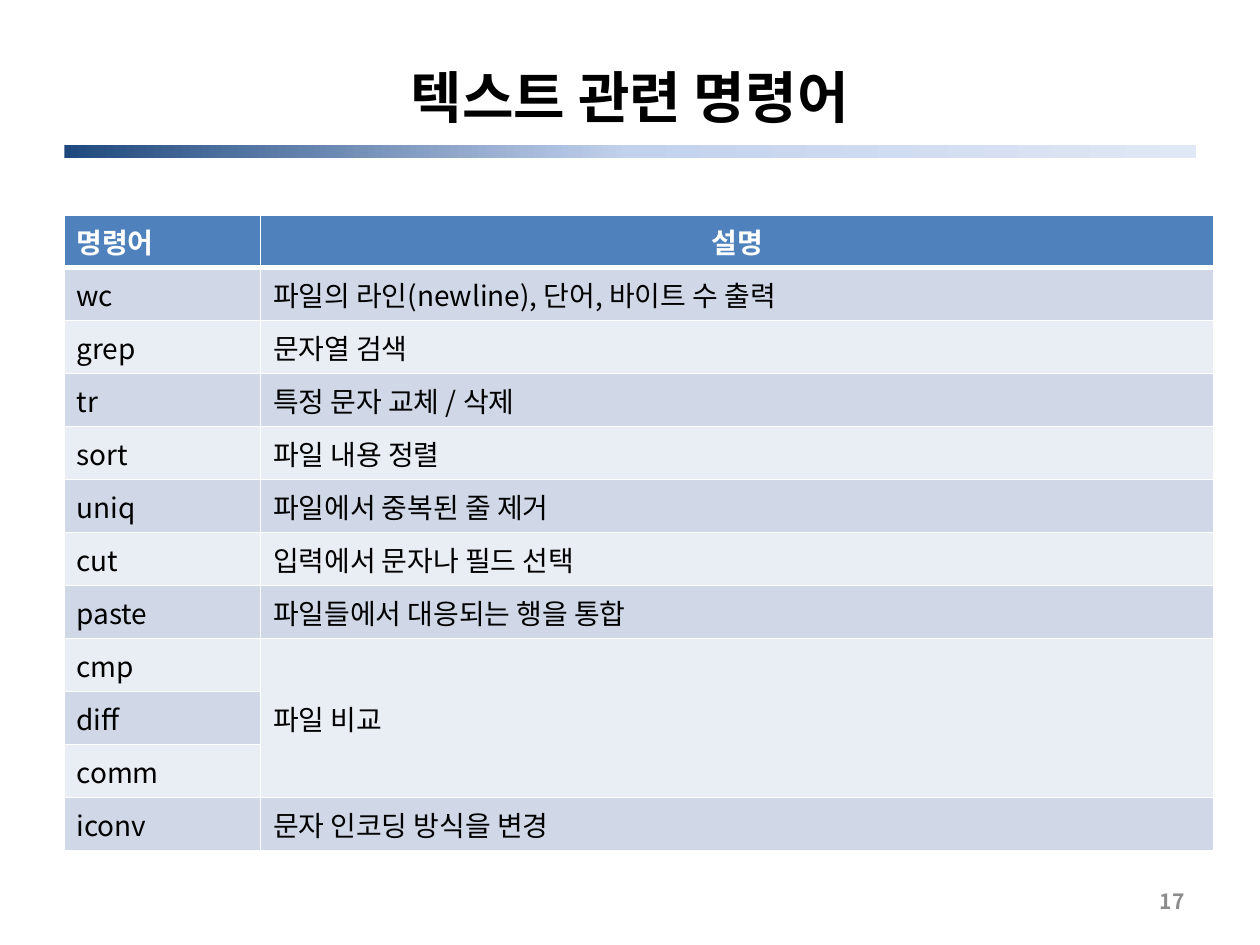
from copy import deepcopy
from dataclasses import dataclass

from lxml.etree import SubElement
from pptx import Presentation
from pptx.dml.color import RGBColor
from pptx.enum.shapes import MSO_SHAPE
from pptx.enum.text import MSO_ANCHOR, PP_ALIGN
from pptx.oxml import parse_xml
from pptx.oxml.ns import nsdecls, qn
from pptx.util import Cm, Pt


@dataclass(frozen=True)
class Theme:
    font: str = "Noto Sans CJK KR"
    ink: str = "000000"
    paper: str = "FFFFFF"
    grey: str = "8C8C8C"
    head: str = "4F81BD"
    bands: tuple = ("D0D8E8", "E9EDF4")
    fade: tuple = ("1F497D", "C2D1ED", "E1E8F5")
    title: int = 32
    body: int = 16
    small: int = 12


THEME = Theme()
HEADS = ("명령어", "설명")
ROWS = (
    ("wc", "파일의 라인(newline), 단어, 바이트 수 출력"),
    ("grep", "문자열 검색"),
    ("tr", "특정 문자 교체 / 삭제"),
    ("sort", "파일 내용 정렬"),
    ("uniq", "파일에서 중복된 줄 제거"),
    ("cut", "입력에서 문자나 필드 선택"),
    ("paste", "파일들에서 대응되는 행을 통합"),
    ("cmp", "파일 비교"),
    ("diff", ""),
    ("comm", ""),
    ("iconv", "문자 인코딩 방식을 변경"),
)
MERGED = (8, 10)  # table rows that share one description


def write(frame, text, size, color, bold=False, align=PP_ALIGN.LEFT):
    frame.text = text
    frame.word_wrap = True
    frame.vertical_anchor = MSO_ANCHOR.MIDDLE
    para = frame.paragraphs[0]
    para.alignment = align
    for run in para.runs:
        font = run.font
        font.name, font.size, font.bold = THEME.font, Pt(size), bold
        font.color.rgb = RGBColor.from_string(color)
        SubElement(run._r.get_or_add_rPr(), qn("a:ea"), typeface=THEME.font)


def add_title(slide, text, left, top, width, height):
    title = slide.shapes.title
    title.left, title.top, title.width, title.height = left, top, width, height
    write(title.text_frame, text, THEME.title, THEME.ink, True, PP_ALIGN.CENTER)


def add_bar(slide, left, top, width, height):
    bar = slide.shapes.add_shape(MSO_SHAPE.RECTANGLE, left, top, width, height)
    bar.shadow.inherit = False
    bar.line.fill.background()
    bar.fill.gradient()
    bar.fill.gradient_angle = 0
    first = bar.fill.gradient_stops[0]._gs
    first.addnext(deepcopy(first))
    for i, (stop, color) in enumerate(zip(bar.fill.gradient_stops, THEME.fade)):
        stop.position = i / 2
        stop.color.rgb = RGBColor.from_string(color)


def edge(cell, base):
    """Draw the cell's borders, the lower one as wide as base in points."""
    props = cell._tc.get_or_add_tcPr()
    for i, (side, wide) in enumerate(zip("LRTB", (1, 1, 1, base))):
        props.insert(i, parse_xml(
            f'<a:ln{side} {nsdecls("a")} w="{Pt(wide)}"><a:solidFill>'
            f'<a:srgbClr val="{THEME.paper}"/></a:solidFill></a:ln{side}>'))


def add_grid(slide, left, top, width, height):
    count = len(ROWS) + 1
    grid = slide.shapes.add_table(count, 2, left, top, width, height).table
    first = Cm(3.96)
    grid.columns[0].width, grid.columns[1].width = first, width - first
    for r, texts in enumerate((HEADS, *ROWS)):
        grid.rows[r].height = height // count
        is_head = r == 0
        fill = THEME.head if is_head else THEME.bands[(r - 1) % 2]
        color = THEME.paper if is_head else THEME.ink
        for c, text in enumerate(texts):
            cell = grid.cell(r, c)
            align = PP_ALIGN.CENTER if is_head and c else PP_ALIGN.LEFT
            write(cell.text_frame, text, THEME.body, color, is_head, align)
            cell.vertical_anchor = MSO_ANCHOR.MIDDLE
            cell.fill.solid()
            cell.fill.fore_color.rgb = RGBColor.from_string(fill)
            edge(cell, 3 if is_head else 1)
    start, end = MERGED
    grid.cell(start, 1).merge(grid.cell(end, 1))


def add_page(slide, text, left, top, width, height):
    box = slide.shapes.add_textbox(left, top, width, height)
    write(box.text_frame, text, THEME.small, THEME.grey, True, PP_ALIGN.RIGHT)


def main():
    deck = Presentation()
    deck.slide_width, deck.slide_height = Cm(25.4), Cm(19.05)
    slide = deck.slides.add_slide(deck.slide_layouts[5])
    add_bar(slide, Cm(1.3), Cm(2.92), Cm(22.81), Cm(0.26))
    add_title(slide, "텍스트 관련 명령어", Cm(1.27), Cm(0.76), Cm(22.86), Cm(2.36))
    add_grid(slide, Cm(1.29), Cm(4.33), Cm(23.18), Cm(12.8))
    add_page(slide, "17", Cm(18.2), Cm(17.66), Cm(5.93), Cm(1.01))
    deck.save("out.pptx")


if __name__ == "__main__":
    main()
